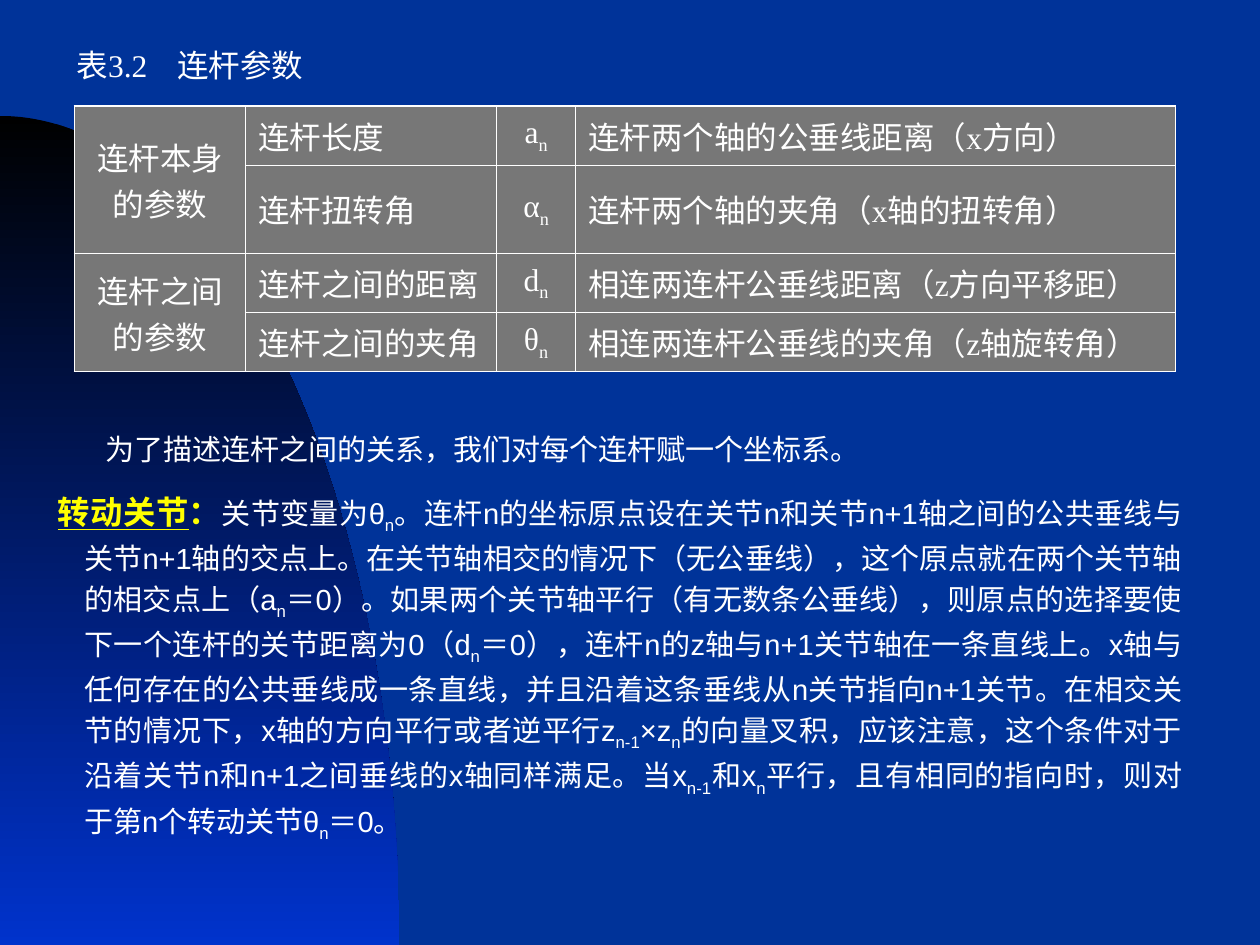
from math import cos, pi, sin

from lxml import etree
from pptx import Presentation
from pptx.dml.color import RGBColor
from pptx.enum.text import MSO_ANCHOR, PP_ALIGN
from pptx.oxml.ns import qn
from pptx.util import Inches, Pt

CENTER, LEFT, JUSTIFY = PP_ALIGN.CENTER, PP_ALIGN.LEFT, PP_ALIGN.JUSTIFY
MIDDLE = MSO_ANCHOR.MIDDLE
WHITE, YELLOW = "FFFFFF", "FFFF00"
SERIF, SANS = "Times New Roman", "Arial"


def color(value):
    return RGBColor.from_string(value)


def add_runs(paragraph, text, size, font, fill=WHITE, bold=False, underline=False):
    """Add text run by run; every second part between bars is a subscript."""
    for index, part in enumerate(text.split("|")):
        if not part:
            continue
        run = paragraph.add_run()
        run.text = part
        run.font.size = Pt(size)
        run.font.name = font
        run.font.color.rgb = color(fill)
        run.font.bold = bold
        run.font.underline = underline
        if index % 2:
            run._r.get_or_add_rPr().set("baseline", "-25000")


presentation = Presentation()
presentation.slide_width = Inches(10)
presentation.slide_height = Inches(7.5)
slide = presentation.slides.add_slide(presentation.slide_layouts[6])
slide.background.fill.solid()
slide.background.fill.fore_color.rgb = color("003399")

# Quarter ellipse in the lower left corner
radius_x, radius_y, steps = 3.17, 6.58, 90
arc = [
    (Inches(radius_x * sin(pi / 2 * step / steps)),
     Inches(7.5 - radius_y * cos(pi / 2 * step / steps)))
    for step in range(steps + 1)
]
builder = slide.shapes.build_freeform(*arc[0])
builder.add_line_segments(arc[1:] + [(0, Inches(7.5))], close=True)
ellipse = builder.convert_to_shape()
ellipse.shadow.inherit = False
ellipse.line.fill.background()
ellipse.fill.gradient()
ellipse.fill.gradient_angle = 270
for stop, value in zip(ellipse.fill.gradient_stops, ("000000", "0033CC")):
    stop.color.rgb = color(value)

# Body text
body = slide.shapes.add_textbox(Inches(0.19), Inches(3.36), Inches(9.29), Inches(3.78))
body.text_frame.word_wrap = True
intro = body.text_frame.paragraphs[0]
joint = body.text_frame.add_paragraph()
for paragraph, indent, spacing in ((intro, 0.17, 1.05), (joint, -0.21, 1.15)):
    paragraph.alignment = JUSTIFY
    paragraph.line_spacing = spacing
    properties = paragraph._p.get_or_add_pPr()
    properties.set("marL", str(Inches(0.38)))
    properties.set("indent", str(Inches(indent)))
joint.space_before = Pt(11.2)

add_runs(intro, "为了描述连杆之间的关系，我们对每个连杆赋一个坐标系。", 16.6, SANS)
add_runs(joint, "转动关节", 18.5, SANS, YELLOW, bold=True, underline=True)
add_runs(joint, "：", 18.5, SANS, YELLOW, bold=True)
add_runs(
    joint,
    "关节变量为θ|n|。连杆n的坐标原点设在关节n和关节n+1轴之间的公共垂线与关节n+1轴的交点上。"
    "在关节轴相交的情况下（无公垂线），这个原点就在两个关节轴的相交点上（a|n|＝0）。"
    "如果两个关节轴平行（有无数条公垂线），则原点的选择要使下一个连杆的关节距离为0（d|n|＝0），"
    "连杆n的z轴与n+1关节轴在一条直线上。x轴与任何存在的公共垂线成一条直线，"
    "并且沿着这条垂线从n关节指向n+1关节。在相交关节的情况下，"
    "x轴的方向平行或者逆平行z|n-1|×z|n|的向量叉积，应该注意，"
    "这个条件对于沿着关节n和n+1之间垂线的x轴同样满足。"
    "当x|n-1|和x|n|平行，且有相同的指向时，则对于第n个转动关节θ|n|＝0。",
    16.6, SANS,
)

# Table of link parameters
rows = [
    ("连杆本身的参数", "连杆长度", "a|n|", "连杆两个轴的公垂线距离（x方向）"),
    ("", "连杆扭转角", "α|n|", "连杆两个轴的夹角（x轴的扭转角）"),
    ("连杆之间的参数", "连杆之间的距离", "d|n|", "相连两连杆公垂线距离（z方向平移距）"),
    ("", "连杆之间的夹角", "θ|n|", "相连两连杆公垂线的夹角（z轴旋转角）"),
]
widths = (1.36, 1.99, 0.63, 4.76)
heights = (0.47, 0.7, 0.47, 0.47)
alignments = (CENTER, LEFT, CENTER, LEFT)
table = slide.shapes.add_table(
    len(rows), len(widths), Inches(0.59), Inches(0.84),
    Inches(sum(widths)), Inches(sum(heights)),
).table
table.first_row = table.horz_banding = False
for column, width in zip(table.columns, widths):
    column.width = Inches(width)
for row, height in zip(table.rows, heights):
    row.height = Inches(height)
for top in (0, 2):
    table.cell(top, 0).merge(table.cell(top + 1, 0))

for r, texts in enumerate(rows):
    for c, text in enumerate(texts):
        cell = table.cell(r, c)
        cell.vertical_anchor = MIDDLE
        # Thicker border on the outer edge
        outer = {"L": c == 0, "R": c == 3, "T": r == 0, "B": r == 3}
        cell_properties = cell._tc.get_or_add_tcPr()
        for side, is_outer in outer.items():
            line = etree.SubElement(cell_properties, qn("a:ln" + side))
            line.set("w", str(Pt(1.08 if is_outer else 0.45)))
            line_fill = etree.SubElement(line, qn("a:solidFill"))
            etree.SubElement(line_fill, qn("a:srgbClr")).set("val", WHITE)
        cell.fill.solid()
        cell.fill.fore_color.rgb = color("777777")
        paragraph = cell.text_frame.paragraphs[0]
        paragraph.alignment = alignments[c]
        add_runs(paragraph, text, 18, SERIF)

# Table caption, number and title set apart by a tab stop
caption = slide.shapes.add_textbox(Inches(0.51), Inches(0.32), Inches(8.66), Inches(0.4))
caption.text_frame.word_wrap = True
paragraph = caption.text_frame.paragraphs[0]
tabs = etree.SubElement(paragraph._p.get_or_add_pPr(), qn("a:tabLst"))
etree.SubElement(tabs, qn("a:tab"), pos=str(Inches(0.8)), algn="l")
add_runs(paragraph, "表3.2\t连杆参数", 18, SERIF)

presentation.save("out.pptx")
